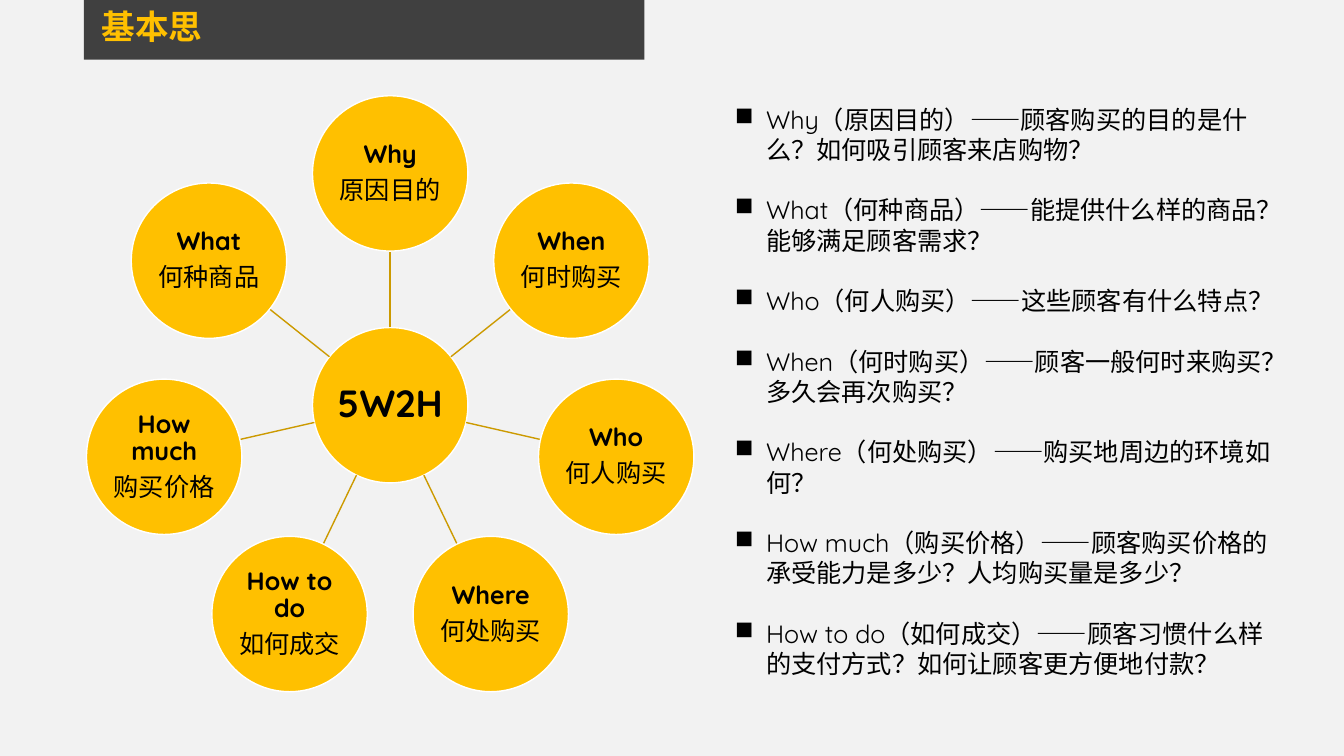
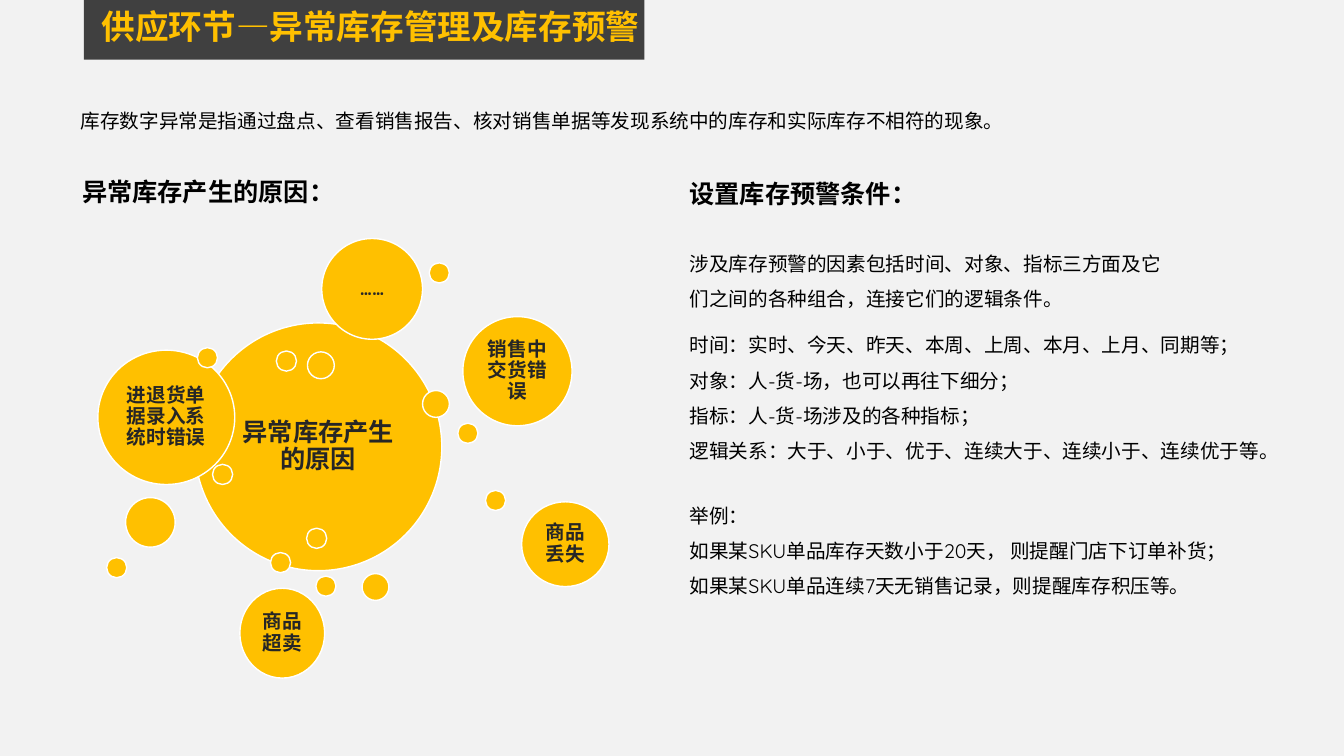
"""Build two retail slides: the 5W2H wheel and abnormal stock warnings."""
from dataclasses import dataclass
from math import cos, pi, sin

from lxml import etree
from pptx import Presentation
from pptx.dml.color import RGBColor
from pptx.enum.lang import MSO_LANGUAGE_ID
from pptx.enum.shapes import MSO_CONNECTOR, MSO_SHAPE
from pptx.enum.text import MSO_ANCHOR, MSO_AUTO_SIZE, PP_ALIGN
from pptx.oxml.ns import qn
from pptx.presentation import Presentation as Deck
from pptx.shapes.autoshape import Shape
from pptx.slide import Slide
from pptx.text.text import TextFrame
from pptx.util import Emu, Inches, Pt

RECT, OVAL = MSO_SHAPE.RECTANGLE, MSO_SHAPE.OVAL
STRAIGHT = MSO_CONNECTOR.STRAIGHT
LEFT, CENTER = PP_ALIGN.LEFT, PP_ALIGN.CENTER
TOP, MIDDLE = MSO_ANCHOR.TOP, MSO_ANCHOR.MIDDLE
NO_FIT = MSO_AUTO_SIZE.NONE
CHINESE = MSO_LANGUAGE_ID.SIMPLIFIED_CHINESE

FONT = "Quicksand"
COLORS = {
    "background": "F2F2F2",
    "band": "404040",
    "accent": "FFC000",
    "spoke": "CC9A00",
    "outline": "FFFFFF",
    "text": "000000",
    "bubble_text": "262626",
}
SLIDE_WIDTH, SLIDE_HEIGHT = Inches(13.33), Inches(7.5)
COLUMNS = 160
CELL = SLIDE_WIDTH / COLUMNS


@dataclass(frozen=True)
class Area:
    """A rectangle in grid columns and rows."""

    col: float
    row: float
    width: float
    height: float


@dataclass(frozen=True)
class Question:
    """One of the 5W2H questions, with its short and long meaning."""

    word: str
    meaning: str
    detail: str


@dataclass(frozen=True)
class Line:
    """One paragraph of evenly formatted text."""

    text: str
    size: float = 14
    bold: bool = False
    color: str = "text"


@dataclass(frozen=True)
class Bubble:
    """A circle given by its centre and size, with an optional label."""

    col: float
    row: float
    width: float
    height: float
    label: str = ""
    size: float = 14


@dataclass(frozen=True)
class Passage:
    """A block of lines on the slide."""

    area: Area
    lines: tuple[Line, ...]


BAND = Area(10, 0, 66.7, 7.1)
TITLE = Area(10.9, 0.7, 66.9, 6)

HUB_COL, HUB_ROW, DISC, ORBIT = 46.45, 48.25, 18.5, 27.6
QUESTIONS = {
    question.word: question
    for question in (
        Question("Why", "原因目的", "顾客购买的目的是什么？如何吸引顾客来店购物？"),
        Question("What", "何种商品", "能提供什么样的商品？能够满足顾客需求？"),
        Question("Who", "何人购买", "这些顾客有什么特点？"),
        Question("When", "何时购买", "顾客一般何时来购买？多久会再次购买？"),
        Question("Where", "何处购买", "购买地周边的环境如何？"),
        Question("How much", "购买价格", "顾客购买价格的承受能力是多少？人均购买量是多少？"),
        Question("How to do", "如何成交", "顾客习惯什么样的支付方式？如何让顾客更方便地付款？"),
    )
}
WHEEL_ORDER = ("Why", "When", "Who", "Where", "How to do", "How much", "What")
DETAILS = Area(86.3, 11.8, 66.3, 70.3)

CAUSES = (
    Bubble(37.9, 53.2, 29.4, 29.5, "异常库存产生的原因", 18),
    Bubble(19.8, 49.7, 16.3, 16, "进退货单据录入系统时错误"),
    Bubble(61.6, 44.2, 13, 13, "销售中交货错误"),
    Bubble(67.3, 64.8, 10.4, 10.1, "商品丢失"),
    Bubble(33.6, 75.4, 10.1, 10.7, "商品超卖"),
    Bubble(44.3, 34.4, 12, 12, "……"),
)
DROPLETS = {
    2.4: (
        (33.4, 67), (55.7, 51.6), (34.1, 43), (26.5, 56.5), (13.9, 67.6),
        (37.7, 64.1), (59, 59.6), (38.8, 69.8), (24.7, 42.6), (52.3, 32.5),
    ),
    3.2: ((44.7, 69.9), (38.2, 43.5), (51.9, 48.1)),
    5.9: ((17.9, 62.2),),
}
RIGHT_COL = 80.9
PASSAGES = (
    Passage(Area(8.6, 18.6, 42.6, 6), (Line("异常库存产生的原因：", 18, True),)),
    Passage(Area(8.4, 11, 130.7, 5.4), (
        Line("库存数字异常是指通过盘点、查看销售报告、核对销售单据等发现系统中的库存和实际库存不相符的现象。"),
    )),
    Passage(Area(RIGHT_COL, 18.8, 42.6, 6.7), (Line("设置库存预警条件：", 18, True),)),
    Passage(Area(RIGHT_COL, 28, 60.7, 9.7), (
        Line("涉及库存预警的因素包括时间、对象、指标三方面及它们之间的各种组合，连接它们的逻辑条件。"),
    )),
    Passage(Area(RIGHT_COL, 37.7, 71.2, 18.1), (
        Line("时间：实时、今天、昨天、本周、上周、本月、上月、同期等；"),
        Line("对象：人-货-场，也可以再往下细分；"),
        Line("指标：人-货-场涉及的各种指标；"),
        Line("逻辑关系：大于、小于、优于、连续大于、连续小于、连续优于等。"),
    )),
    Passage(Area(RIGHT_COL, 58, 67.8, 13.9), (
        Line("举例："),
        Line("如果某SKU单品库存天数小于20天， 则提醒门店下订单补货；"),
        Line("如果某SKU单品连续7天无销售记录，则提醒库存积压等。"),
    )),
)


def cells(count: float) -> Emu:
    """Convert grid cells to a length."""
    return Emu(round(count * CELL))


def box(area: Area) -> tuple[Emu, Emu, Emu, Emu]:
    """Return left, top, width and height of an area."""
    return cells(area.col), cells(area.row), cells(area.width), cells(area.height)


def rgb(name: str) -> RGBColor:
    """Look up a palette colour."""
    return RGBColor.from_string(COLORS[name])


def write(frame: TextFrame, lines: tuple[Line, ...], spacing: float = 1.0,
          align: PP_ALIGN = LEFT, anchor: MSO_ANCHOR = TOP) -> None:
    """Fill a text frame with one paragraph for each line."""
    frame.word_wrap = True
    frame.auto_size = NO_FIT
    frame.vertical_anchor = anchor
    for index, line in enumerate(lines):
        paragraph = frame.add_paragraph() if index else frame.paragraphs[0]
        paragraph.alignment = align
        paragraph.line_spacing = spacing
        run = paragraph.add_run()
        run.text = line.text
        run.font.name = FONT
        run.font.size = Pt(line.size)
        run.font.bold = line.bold
        run.font.color.rgb = rgb(line.color)
        run.font.language_id = CHINESE


def add_filled(slide: Slide, kind: MSO_SHAPE, area: Area, fill: str) -> Shape:
    """Add a flat preset shape without an outline."""
    shape = slide.shapes.add_shape(kind, *box(area))
    shape.shadow.inherit = False
    shape.fill.solid()
    shape.fill.fore_color.rgb = rgb(fill)
    shape.line.fill.background()
    return shape


def add_disc(slide: Slide, bubble: Bubble, lines: tuple[Line, ...] = (),
             inset: float = 0.01) -> None:
    """Add an outlined circle around its centre, with centred text."""
    area = Area(bubble.col - bubble.width / 2, bubble.row - bubble.height / 2,
                bubble.width, bubble.height)
    disc = add_filled(slide, OVAL, area, "accent")
    disc.line.color.rgb = rgb("outline")
    disc.line.width = Pt(1)
    if not lines:
        return
    frame = disc.text_frame
    frame.margin_left = frame.margin_right = Inches(inset)
    frame.margin_top = frame.margin_bottom = Inches(inset)
    write(frame, lines, 0.9, CENTER, MIDDLE)
    for paragraph in frame.paragraphs[:-1]:
        paragraph.space_after = Pt(6.3)


def add_passage(slide: Slide, passage: Passage, spacing: float = 1.5) -> TextFrame:
    """Add a text box holding a passage."""
    frame = slide.shapes.add_textbox(*box(passage.area)).text_frame
    write(frame, passage.lines, spacing)
    return frame


def add_spoke(slide: Slide, angle: float) -> None:
    """Draw the line from the hub to the disc at an angle from the top."""
    ends = [
        cells(position)
        for radius in (DISC / 2, ORBIT - DISC / 2)
        for position in (HUB_COL + radius * sin(angle), HUB_ROW - radius * cos(angle))
    ]
    spoke = slide.shapes.add_connector(STRAIGHT, *ends)
    spoke.line.color.rgb = rgb("spoke")
    spoke.line.width = Pt(1)
    etree.SubElement(spoke.element.spPr, qn("a:effectLst"))


def add_titled_slide(deck: Deck, heading: str) -> Slide:
    """Add a slide with the dark band and its heading."""
    slide = deck.slides.add_slide(deck.slide_layouts[5])
    title = slide.shapes.title
    band = add_filled(slide, RECT, BAND, "band")
    title.element.addprevious(band.element)
    title.left, title.top, title.width, title.height = box(TITLE)
    write(title.text_frame, (Line(heading, 24, True, "accent"),), 0.9)
    return slide


def build_wheel(deck: Deck) -> None:
    """Build the 5W2H wheel with its explanations."""
    slide = add_titled_slide(deck, "基本思")
    add_disc(slide, Bubble(HUB_COL, HUB_ROW, DISC, DISC),
             (Line("5W2H", 27, True),), 0.02)
    for index, word in enumerate(WHEEL_ORDER):
        angle = 2 * pi * index / len(WHEEL_ORDER)
        add_spoke(slide, angle)
        outer = Bubble(HUB_COL + ORBIT * sin(angle), HUB_ROW - ORBIT * cos(angle), DISC, DISC)
        add_disc(slide, outer, (Line(word, 18, True), Line(QUESTIONS[word].meaning, 18)))
    details = tuple(
        Line(f"{question.word}（{question.meaning}）——{question.detail}", 18)
        for question in QUESTIONS.values()
    )
    frame = add_passage(slide, Passage(DETAILS, details), 1.0)
    for index, paragraph in enumerate(frame.paragraphs):
        properties = paragraph._p.get_or_add_pPr()
        properties.set("marL", str(Inches(0.31)))
        properties.set("indent", str(-Inches(0.31)))
        etree.SubElement(properties, qn("a:buChar"), char="■")
        if index:
            paragraph.space_before = Pt(21.6)


def build_stock_warning(deck: Deck) -> None:
    """Build the causes of abnormal stock and the warning conditions."""
    slide = add_titled_slide(deck, "供应环节—异常库存管理及库存预警")
    for cause in CAUSES:
        add_disc(slide, cause, (Line(cause.label, cause.size, True, "bubble_text"),), 0.06)
    for size, centres in DROPLETS.items():
        for col, row in centres:
            add_disc(slide, Bubble(col, row, size, size))
    for passage in PASSAGES:
        add_passage(slide, passage)


def main() -> None:
    """Create and save the deck."""
    deck = Presentation()
    deck.slide_width, deck.slide_height = SLIDE_WIDTH, SLIDE_HEIGHT
    backdrop = deck.slide_master.background.fill
    backdrop.solid()
    backdrop.fore_color.rgb = rgb("background")
    build_wheel(deck)
    build_stock_warning(deck)
    deck.save("out.pptx")


if __name__ == "__main__":
    main()
